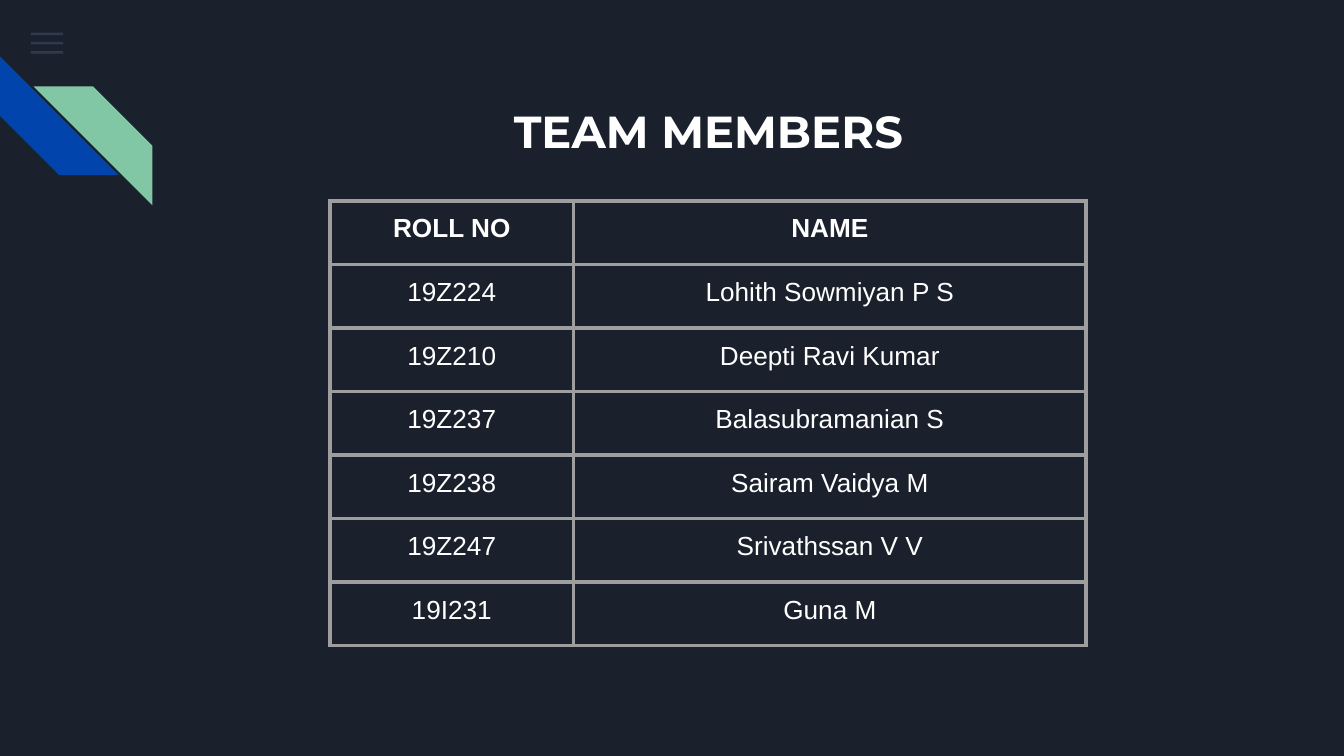
import dataclasses

import lxml.etree
import pptx
import pptx.dml.color
import pptx.enum.shapes
import pptx.enum.text
import pptx.oxml.ns
import pptx.util


@dataclasses.dataclass(frozen=True)
class Theme:
    background: str = "1B212C"
    text: str = "FFFFFF"
    border: str = "9E9E9E"
    menu: str = "55688B"
    blue: str = "0145AC"
    green: str = "82C7A5"
    heading_font: str = "Montserrat"
    body_font: str = "Arial"
    title_size: float = 24
    table_size: float = 14
    border_width: float = 2.25


SLIDE_WIDTH = 10
SLIDE_HEIGHT = SLIDE_WIDTH * 9 / 16
GRID = 0.1
MEMBERS = [
    ("ROLL NO", "NAME"),
    ("19Z224", "Lohith Sowmiyan P S"),
    ("19Z210", "Deepti Ravi Kumar"),
    ("19Z237", "Balasubramanian S"),
    ("19Z238", "Sairam Vaidya M"),
    ("19Z247", "Srivathssan V V"),
    ("19I231", "Guna M"),
]


def units(count):
    return pptx.util.Inches(count * GRID)


def rgb(color):
    return pptx.dml.color.RGBColor.from_string(color)


def add_element(parent, tag, **attributes):
    return lxml.etree.SubElement(parent, pptx.oxml.ns.qn(tag), attributes)


def write_text(frame, text, *, font, size, color, bold=False):
    frame.word_wrap = True
    paragraph = frame.paragraphs[0]
    paragraph.alignment = pptx.enum.text.PP_ALIGN.CENTER
    run = paragraph.add_run()
    run.text = text
    run.font.name = font
    run.font.size = pptx.util.Pt(size)
    run.font.bold = bold
    run.font.color.rgb = rgb(color)


def set_margins(holder):
    holder.margin_left = holder.margin_right = units(1)
    holder.margin_top = holder.margin_bottom = units(1)


class SlideBuilder:
    def __init__(self, presentation, theme):
        self.theme = theme
        self.slide = presentation.slides.add_slide(presentation.slide_layouts[5])
        fill = self.slide.background.fill
        fill.solid()
        fill.fore_color.rgb = rgb(theme.background)

    def shape(self, kind, column, row, width, height, color, opacity=100, rotation=0):
        shape = self.slide.shapes.add_shape(
            kind, units(column), units(row), units(width), units(height))
        shape.shadow.inherit = False
        shape.line.fill.background()
        shape.fill.solid()
        shape.fill.fore_color.rgb = rgb(color)
        shape.rotation = rotation
        if opacity < 100:
            color_element = shape.fill._xPr.find(".//" + pptx.oxml.ns.qn("a:srgbClr"))
            add_element(color_element, "a:alpha", val=str(opacity * 1000))
        return shape

    def menu_icon(self, column, row, width, bar_height, step):
        for index in range(3):
            self.shape(pptx.enum.shapes.MSO_SHAPE.RECTANGLE, column, row + index * step,
                       width, bar_height, self.theme.menu, opacity=36)

    def stripe(self, column, row, size, color, rotation):
        stripe = self.shape(pptx.enum.shapes.MSO_SHAPE.DIAGONAL_STRIPE,
                            column, row, size, size, color, rotation=rotation)
        stripe.adjustments[0] = 0.5

    def title(self, text, column, row, width, height):
        title = self.slide.shapes.title
        title.left, title.top = units(column), units(row)
        title.width, title.height = units(width), units(height)
        frame = title.text_frame
        frame.auto_size = pptx.enum.text.MSO_AUTO_SIZE.NONE
        frame.vertical_anchor = pptx.enum.text.MSO_ANCHOR.TOP
        set_margins(frame)
        write_text(frame, text, font=self.theme.heading_font,
                   size=self.theme.title_size, color=self.theme.text, bold=True)

    def border(self, cell):
        properties = cell._tc.get_or_add_tcPr()
        width = str(pptx.util.Pt(self.theme.border_width))
        for side in ("a:lnL", "a:lnR", "a:lnT", "a:lnB"):
            line = add_element(properties, side, w=width)
            fill = add_element(line, "a:solidFill")
            add_element(fill, "a:srgbClr", val=self.theme.border)

    def table(self, records, column, row, widths, row_height):
        table = self.slide.shapes.add_table(
            len(records), len(widths), units(column), units(row),
            units(sum(widths)), units(row_height * len(records))).table
        table.first_row = table.horz_banding = False
        for table_column, width in zip(table.columns, widths):
            table_column.width = units(width)
        for row_index, record in enumerate(records):
            table.rows[row_index].height = units(row_height)
            for column_index, text in enumerate(record):
                cell = table.cell(row_index, column_index)
                set_margins(cell)
                self.border(cell)
                cell.fill.background()
                write_text(cell.text_frame, text, font=self.theme.body_font,
                           size=self.theme.table_size, color=self.theme.text,
                           bold=row_index == 0)


def main():
    presentation = pptx.Presentation()
    presentation.slide_width = pptx.util.Inches(SLIDE_WIDTH)
    presentation.slide_height = pptx.util.Inches(SLIDE_HEIGHT)
    theme = Theme()
    builder = SlideBuilder(presentation, theme)
    builder.menu_icon(2.3, 2.42, 2.4, 0.2, 0.69)
    builder.stripe(0, 4.2, 8.84, theme.blue, rotation=270)
    builder.stripe(2.5, 6.43, 8.84, theme.green, rotation=90)
    builder.title("TEAM MEMBERS", 14.2, 6.7, 77, 5.8)
    builder.table(MEMBERS, 24.55, 14.94, (18.13, 38.13), 4.73)
    presentation.save("out.pptx")


if __name__ == "__main__":
    main()
